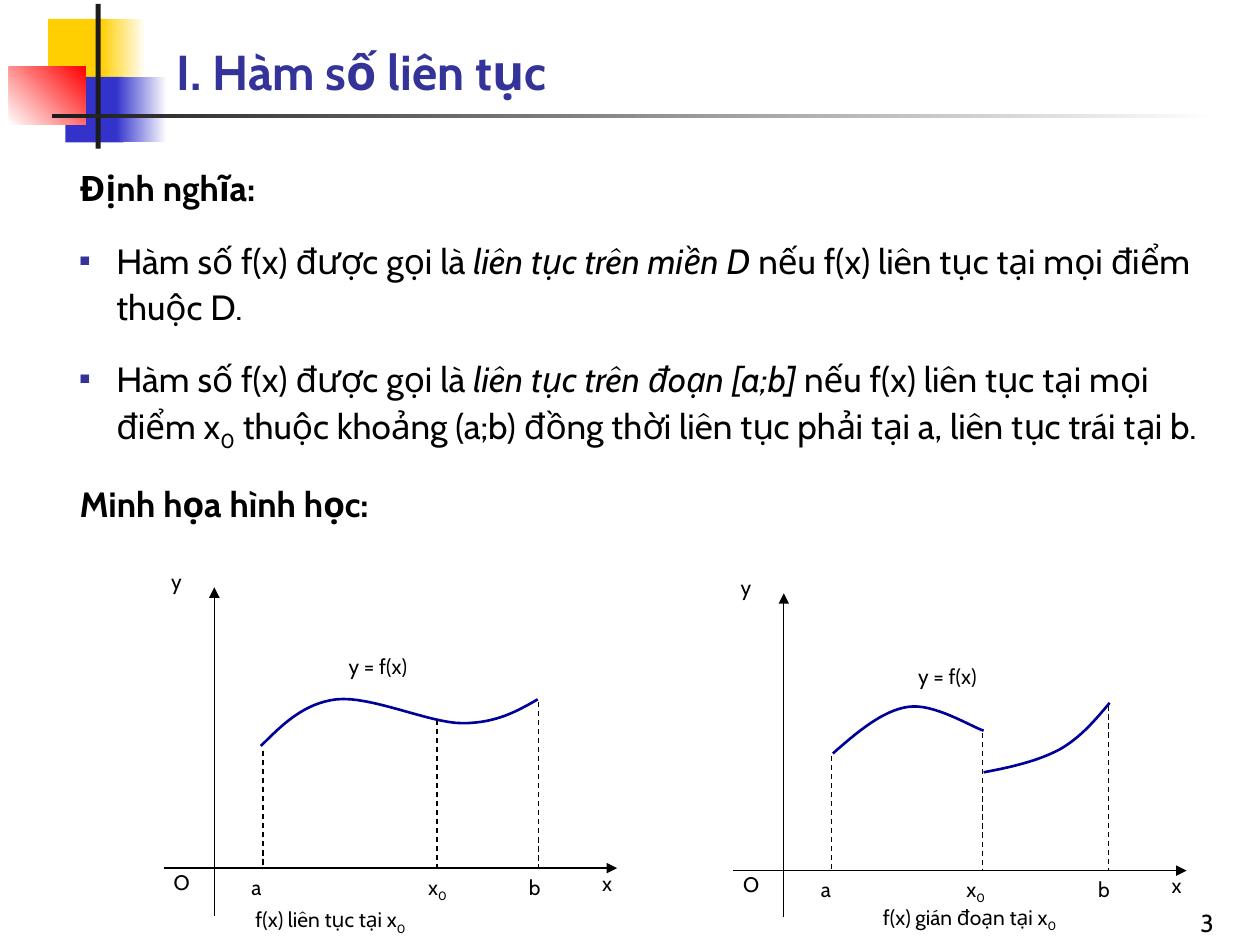
import pptx
import pptx.dml.color
import pptx.enum.dml
import pptx.enum.shapes
import pptx.enum.text
import pptx.oxml.ns
import pptx.util
from lxml import etree

Cm = pptx.util.Cm
RGBColor = pptx.dml.color.RGBColor
ALIGN = pptx.enum.text.PP_ALIGN
ANCHOR = pptx.enum.text.MSO_ANCHOR

YELLOW = RGBColor(0xFF, 0xCF, 0x01)
BLUE = RGBColor(0x33, 0x33, 0xCC)
RED = RGBColor(0xFF, 0x00, 0x00)
CHARCOAL = RGBColor(0x1C, 0x1C, 0x1C)
WHITE = RGBColor(0xFF, 0xFF, 0xFF)
BLACK = RGBColor(0x00, 0x00, 0x00)
INDIGO = RGBColor(0x33, 0x33, 0x99)
CURVE_BLUE = RGBColor(0x00, 0x00, 0x99)

BOLD = {"bold": True}
ITALIC = {"italic": True}
SUBSCRIPT = "subscript"
X_ZERO = [("x", {}), ("0", SUBSCRIPT)]


def apply_format(target, values):
    for name, value in values.items():
        setattr(target, name, value)


def add_element(parent, tag, **attributes):
    return etree.SubElement(parent, pptx.oxml.ns.qn(tag), attributes)


def place(shape, left, top, width, height):
    apply_format(shape, {"left": Cm(left), "top": Cm(top), "width": Cm(width), "height": Cm(height)})


def write_runs(paragraph, runs, size, color=BLACK):
    for text, values in runs:
        run = paragraph.add_run()
        run.text = text
        apply_format(run.font, {"name": "Cabin", "size": pptx.util.Pt(size)})
        run.font.color.rgb = color
        if values == SUBSCRIPT:
            run._r.get_or_add_rPr().set("baseline", "-25000")
        else:
            apply_format(run.font, values)


def add_label(shapes, runs, left, top, width, height=1.4, size=12):
    box = shapes.add_textbox(Cm(left), Cm(top), Cm(width), Cm(height))
    box.text_frame.word_wrap = True
    write_runs(box.text_frame.paragraphs[0], runs, size)
    return box


def add_ornament(slide, left, top):
    parts = [
        (0.79, 0.3, 1.22, 1.32, YELLOW, YELLOW, 0),
        (1.85, 0.3, 0.91, 1.32, YELLOW, WHITE, 0),
        (1.14, 1.47, 1.17, 1.32, BLUE, BLUE, 0),
        (2.16, 1.47, 1.02, 1.32, BLUE, WHITE, 0),
        (0, 1.27, 1.55, 1.17, WHITE, RED, 45),
        (1.75, 0, 0.1, 2.92, CHARCOAL, CHARCOAL, 0),
        (0.86, 2.21, 23.5, 0.09, CHARCOAL, WHITE, 0),
    ]
    for x, y, width, height, start, end, angle in parts:
        shape = slide.shapes.add_shape(
            pptx.enum.shapes.MSO_SHAPE.RECTANGLE,
            Cm(left + x), Cm(top + y), Cm(width), Cm(height))
        shape.shadow.inherit = False
        shape.line.fill.background()
        if start == end:
            shape.fill.solid()
            shape.fill.fore_color.rgb = start
        else:
            shape.fill.gradient()
            shape.fill.gradient_angle = angle
            for stop, color in zip(shape.fill.gradient_stops, (start, end)):
                stop.color.rgb = color


def fill_title(slide, left, top, width, height):
    title = slide.shapes.title
    place(title, left, top, width, height)
    apply_format(title.text_frame, {
        "vertical_anchor": ANCHOR.BOTTOM, "word_wrap": True,
        "auto_size": pptx.enum.text.MSO_AUTO_SIZE.NONE})
    paragraph = title.text_frame.paragraphs[0]
    paragraph.alignment = ALIGN.LEFT
    write_runs(paragraph, [("I. Hàm số liên tục", BOLD)], 28, INDIGO)


def set_bullet(paragraph, bulleted):
    properties = paragraph._p.get_or_add_pPr()
    properties.set("marL", str(Cm(0.74)))
    properties.set("indent", str(Cm(-0.74)))
    if bulleted:
        color = add_element(properties, "a:buClr")
        add_element(color, "a:srgbClr", val=str(INDIGO))
        add_element(properties, "a:buSzPct", val="50000")
        add_element(properties, "a:buChar", char="■")
    else:
        add_element(properties, "a:buNone")


def fill_body(slide, left, top, width, height):
    body = slide.placeholders[1]
    place(body, left, top, width, height)
    body.text_frame.auto_size = pptx.enum.text.MSO_AUTO_SIZE.NONE
    opening = "Hàm số f(x) được gọi là "
    paragraphs = [
        (False, [("Định nghĩa:", BOLD)]),
        (True, [(opening, {}), ("liên tục trên miền D", ITALIC),
                (" nếu f(x) liên tục tại mọi điểm thuộc D.", {})]),
        (True, [(opening, {}), ("liên tục trên đoạn [a;b]", ITALIC),
                (" nếu f(x) liên tục tại mọi điểm x", {}), ("0", SUBSCRIPT),
                (" thuộc khoảng (a;b) đồng thời liên tục phải tại a, liên tục trái tại b.", {})]),
        (False, [("Minh họa hình học:", BOLD)]),
    ]
    for index, (bulleted, runs) in enumerate(paragraphs):
        paragraph = body.text_frame.add_paragraph() if index else body.text_frame.paragraphs[0]
        set_bullet(paragraph, bulleted)
        apply_format(paragraph, {
            "line_spacing": 1.1, "space_before": pptx.util.Pt(15 if index else 0)})
        write_runs(paragraph, runs, 20)


def add_line(shapes, start, end, dashed=False):
    connector = shapes.add_connector(
        pptx.enum.shapes.MSO_CONNECTOR.STRAIGHT, *[Cm(value) for value in start + end])
    connector.line.width = pptx.util.Pt(0.75)
    connector.line.color.rgb = BLACK
    if dashed:
        connector.line.dash_style = pptx.enum.dml.MSO_LINE.DASH
    else:
        add_element(connector.line._get_or_add_ln(), "a:tailEnd", type="triangle")
    add_element(connector._element.spPr, "a:effectLst")


def bezier_points(points, steps=16):
    for index in range(0, len(points) - 1, 3):
        corners = points[index:index + 4]
        for step in range(1, steps + 1):
            t = step / steps
            weights = ((1 - t) ** 3, 3 * t * (1 - t) ** 2, 3 * t * t * (1 - t), t ** 3)
            yield tuple(sum(weight * corner[axis] for weight, corner in zip(weights, corners))
                        for axis in (0, 1))


def add_curve(shapes, left, top, points):
    builder = shapes.build_freeform(Cm(left + points[0][0]), Cm(top + points[0][1]))
    builder.add_line_segments(
        [(Cm(left + x), Cm(top + y)) for x, y in bezier_points(points)], close=False)
    curve = builder.convert_to_shape()
    curve.shadow.inherit = False
    curve.fill.background()
    curve.line.color.rgb = CURVE_BLUE
    curve.line.width = pptx.util.Pt(1.5)


def add_graph(slide, left, top, base, height, drops, x_zero_left, formula_top, caption, curves):
    shapes = slide.shapes.add_group_shape().shapes
    add_line(shapes, (left, top + base), (left + 9.14, top + base))
    add_line(shapes, (left + 1.02, top + height), (left + 1.02, top))
    for x, y in drops:
        add_line(shapes, (left + x, top + y), (left + x, top + base), dashed=True)
    for points in curves:
        add_curve(shapes, left, top, points)
    caption_text, caption_left, caption_top = caption
    labels = [
        ([("x", {})], 8.59, base - 0.08, 1.52),
        ([("y", {})], -0.1, -0.51, 1.52),
        ([("O", {})], -0.05, base - 0.1, 1.52),
        ([("a", {})], 1.52, base, 1.52),
        ([("b", {})], 7.11, base, 1.52),
        (X_ZERO, x_zero_left, base, 1.52),
        ([("y = f(x)", {})], 3.48, formula_top, 3.56),
        ([(caption_text, {})] + X_ZERO, caption_left, caption_top, 5.2),
    ]
    for runs, x, y, width in labels:
        add_label(shapes, runs, left + x, top + y, width)


def add_slide_number(slide, left, top, width, height):
    box = add_label(slide.shapes, [("3", {})], left, top, width, height, size=14)
    box.text_frame.vertical_anchor = ANCHOR.BOTTOM
    box.text_frame.paragraphs[0].alignment = ALIGN.RIGHT


def main():
    presentation = pptx.Presentation()
    apply_format(presentation, {"slide_width": Cm(25.4), "slide_height": Cm(19.05)})
    slide = presentation.slides.add_slide(presentation.slide_layouts[1])
    add_ornament(slide, 0.18, 0.08)
    fill_title(slide, 3.3, 0.69, 21.64, 1.47)
    fill_body(slide, 1.35, 3.15, 23.27, 14.4)
    add_graph(
        slide, 3.3, 11.84, 5.66, 6.63, [(2.0, 3.3), (7.55, 2.31), (5.51, 2.67)],
        5.08, 1.22, ("f(x) liên tục tại ", 1.6, 6.32),
        [[(1.96, 3.2), (2.39, 2.77), (2.82, 2.34), (3.48, 2.26), (4.17, 2.18), (5.36, 2.74),
          (6.02, 2.74), (6.71, 2.74), (7.14, 2.49), (7.54, 2.26)]])
    add_graph(
        slide, 14.78, 11.96, 5.59, 6.53, [(1.98, 3.28), (7.57, 2.26), (5.03, 2.82)],
        4.45, 1.3, ("f(x) gián đoạn tại ", 2.77, 6.15),
        [[(2.01, 3.23), (2.51, 2.79), (3.02, 2.36), (3.53, 2.29), (4.04, 2.21), (4.8, 2.69),
          (5.05, 2.77)],
         [(5.05, 3.61), (5.59, 3.51), (6.15, 3.38), (6.58, 3.15), (6.99, 2.92), (7.29, 2.57),
          (7.59, 2.21)]])
    add_slide_number(slide, 23.5, 18.03, 1.22, 0.99)
    presentation.save("out.pptx")


if __name__ == "__main__":
    main()
